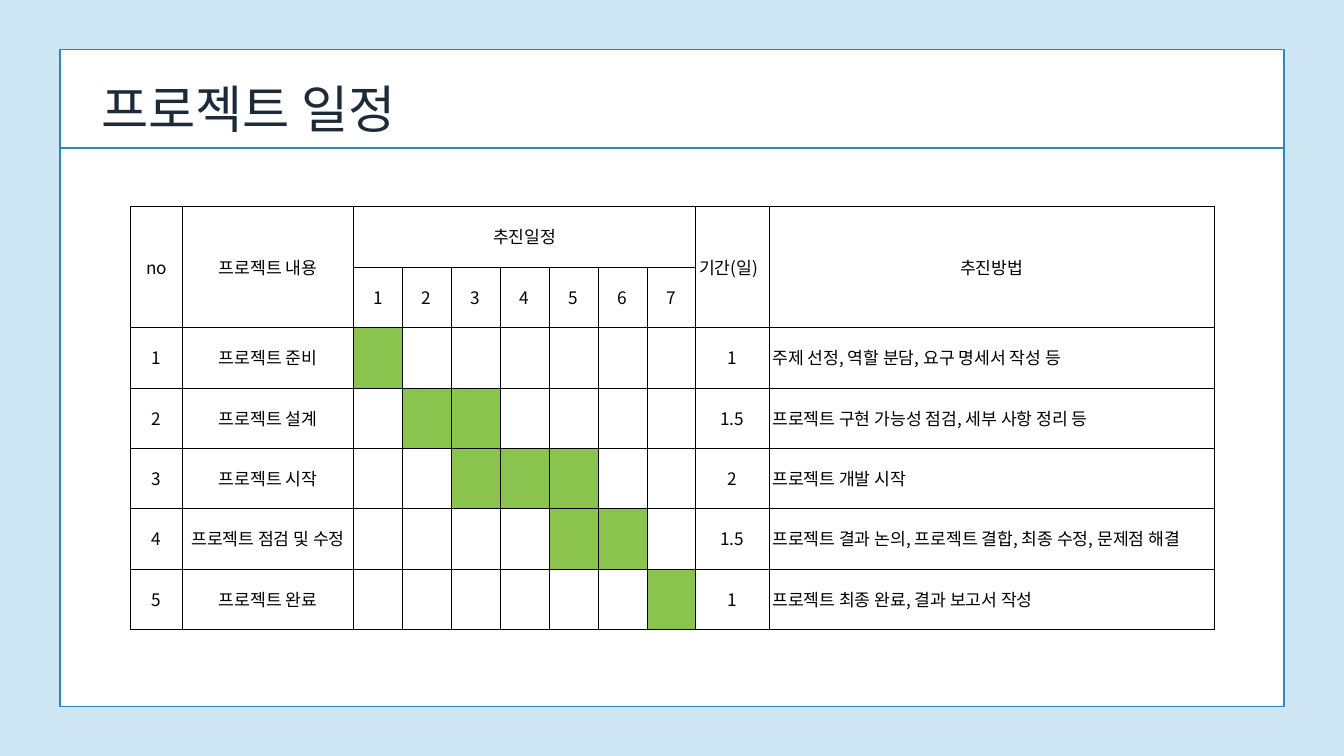
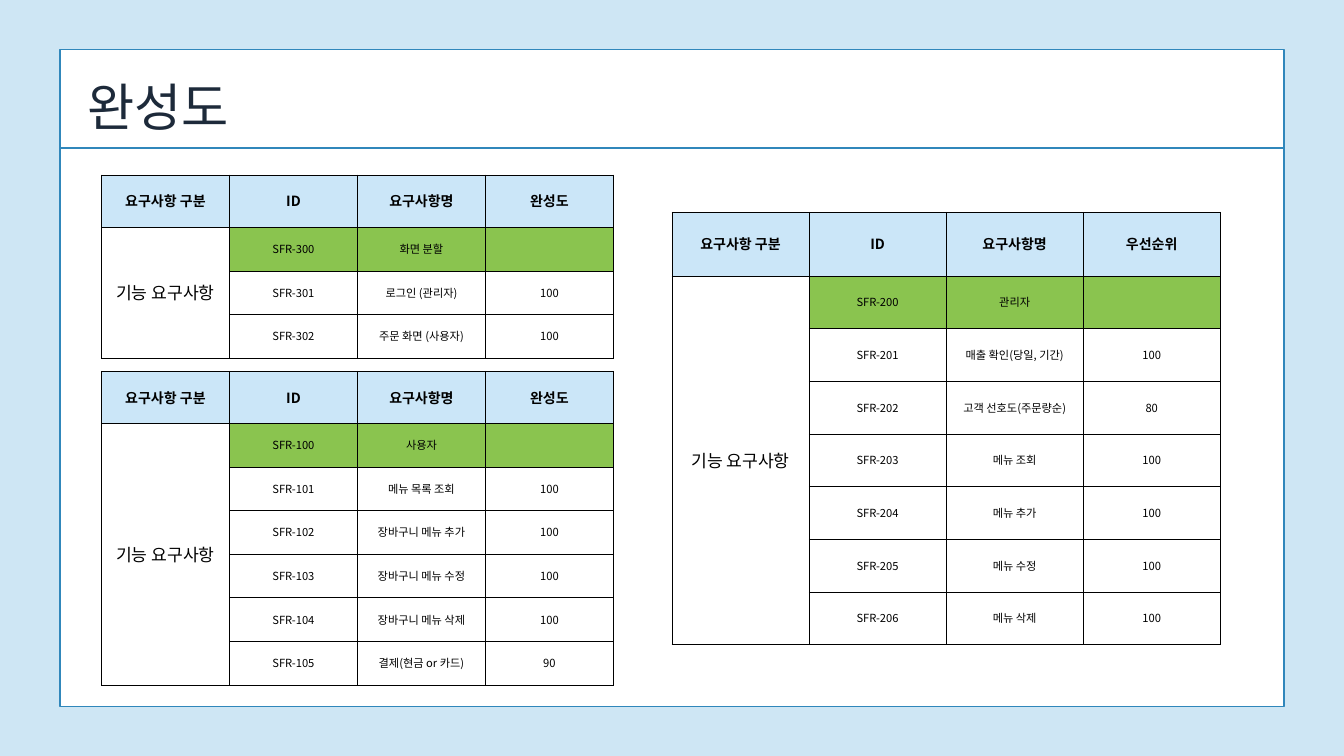
from dataclasses import dataclass

from lxml import etree
from pptx import Presentation
from pptx.dml.color import RGBColor
from pptx.enum.shapes import MSO_CONNECTOR, MSO_SHAPE
from pptx.enum.text import MSO_ANCHOR, PP_ALIGN
from pptx.oxml.ns import qn
from pptx.slide import Slide
from pptx.table import Table, _Cell
from pptx.text.text import _Paragraph
from pptx.util import Inches, Pt

WIDTH, HEIGHT = 20, 11.25
SKY = RGBColor(0xCE, 0xE6, 0xF4)
BLUE = RGBColor(0x30, 0x87, 0xBB)
PALE = RGBColor(0xCB, 0xE6, 0xF8)
GREEN = RGBColor(0x8A, 0xC4, 0x4F)
NAVY = RGBColor(0x1D, 0x2A, 0x3A)
WHITE = RGBColor(0xFF, 0xFF, 0xFF)
BLACK = RGBColor(0x00, 0x00, 0x00)
LEFT, CENTER = PP_ALIGN.LEFT, PP_ALIGN.CENTER
MIDDLE = MSO_ANCHOR.MIDDLE
RECT, STRAIGHT = MSO_SHAPE.RECTANGLE, MSO_CONNECTOR.STRAIGHT
SANS, TITLE, LATIN = "Noto Sans CJK SC", "Noto Sans CJK KR", "Roboto"
LEADING = 1.4
EDGE = 4.45
RULE = 19.56
DAYS = 7


@dataclass(frozen=True)
class Style:
    size: float
    face: str = SANS
    color: RGBColor = BLACK
    bold: bool = False
    align: PP_ALIGN = CENTER


@dataclass(frozen=True)
class Grid:
    left: float
    top: float
    cols: tuple[float, ...]
    rows: tuple[float, ...]
    pad: float


@dataclass(frozen=True)
class Step:
    name: str
    first: int
    last: int
    span: str
    plan: str


@dataclass(frozen=True)
class Need:
    name: str
    score: str


@dataclass(frozen=True)
class Group:
    left: float
    top: float
    wide: float
    head: float
    row: float
    score: str
    code: int
    needs: tuple[Need, ...]


BODY = Style(18.4)
NOTE = Style(18.4, align=LEFT)
SMALL = Style(12)
HEAD = Style(15, bold=True)
FIRST = Style(15, LATIN, bold=True)
BANNER = Style(55, TITLE, NAVY, align=LEFT)

PLAN = Grid(9.7, 27.33, (3.89, 12.7) + (3.64,) * DAYS + (5.45, 33.15), (7.99,) * 7, 0.05)
STEPS = (
    Step("프로젝트 준비", 1, 1, "1", "주제 선정, 역할 분담, 요구 명세서 작성 등"),
    Step("프로젝트 설계", 2, 3, "1.5", "프로젝트 구현 가능성 점검, 세부 사항 정리 등"),
    Step("프로젝트 시작", 3, 5, "2", "프로젝트 개발 시작"),
    Step("프로젝트 점검 및 수정", 5, 6, "1.5",
         "프로젝트 결과 논의, 프로젝트 결합, 최종 수정, 문제점 해결"),
    Step("프로젝트 완료", 7, 7, "1", "프로젝트 최종 완료, 결과 보고서 작성"),
)
GROUPS = (
    Group(7.55, 23.15, 38.1, 6.9, 5.78, "완성도", 300, (
        Need("화면 분할", ""),
        Need("로그인 (관리자)", "100"),
        Need("주문 화면 (사용자)", "100"),
    )),
    Group(7.55, 49.1, 38.1, 6.9, 5.77, "완성도", 100, (
        Need("사용자", ""),
        Need("메뉴 목록 조회", "100"),
        Need("장바구니 메뉴 추가", "100"),
        Need("장바구니 메뉴 수정", "100"),
        Need("장바구니 메뉴 삭제", "100"),
        Need("결제(현금 or 카드)", "90"),
    )),
    Group(50, 28.05, 40.8, 8.44, 6.97, "우선순위", 200, (
        Need("관리자", ""),
        Need("매출 확인(당일, 기간)", "100"),
        Need("고객 선호도(주문량순)", "80"),
        Need("메뉴 조회", "100"),
        Need("메뉴 추가", "100"),
        Need("메뉴 수정", "100"),
        Need("메뉴 삭제", "100"),
    )),
)


def across(share: float) -> int:
    return Inches(WIDTH * share / 100)


def down(share: float) -> int:
    return Inches(HEIGHT * share / 100)


def write(para: _Paragraph, text: str, style: Style) -> None:
    para.text = text
    para.alignment = style.align
    para.line_spacing = Pt(style.size * LEADING)
    font = para.font
    font.name = style.face
    font.size = Pt(style.size)
    font.bold = style.bold
    font.color.rgb = style.color
    base = para._p.pPr.find(qn("a:defRPr"))
    east = SANS if style.face == LATIN else style.face
    etree.SubElement(base, qn("a:ea"), typeface=east)


def border(cell: _Cell) -> None:
    props = cell._tc.get_or_add_tcPr()
    for spot, side in enumerate(("lnL", "lnR", "lnT", "lnB")):
        line = etree.Element(qn(f"a:{side}"), w=str(Pt(0.75)))
        fill = etree.SubElement(line, qn("a:solidFill"))
        etree.SubElement(fill, qn("a:srgbClr"), val=str(BLACK))
        props.insert(spot, line)


def paint(cell: _Cell, color: RGBColor) -> None:
    cell.fill.solid()
    cell.fill.fore_color.rgb = color


def label(cell: _Cell, text: str, style: Style) -> None:
    if text:
        write(cell.text_frame.paragraphs[0], text, style)


def lay(slide: Slide, grid: Grid) -> Table:
    frame = slide.shapes.add_table(
        len(grid.rows), len(grid.cols), across(grid.left), down(grid.top),
        across(sum(grid.cols)), down(sum(grid.rows)))
    table = frame.table
    table.first_row = table.horz_banding = False
    for col, share in zip(table.columns, grid.cols):
        col.width = across(share)
    for row, share in zip(table.rows, grid.rows):
        row.height = down(share)
    pad = Inches(grid.pad)
    for cell in table.iter_cells():
        cell.margin_left = cell.margin_right = pad
        cell.margin_top = cell.margin_bottom = pad
        cell.vertical_anchor = MIDDLE
        cell.fill.background()
        border(cell)
    return table


def begin(deck: Presentation, title: str, left: float, top: float, wide: float) -> Slide:
    slide = deck.slides.add_slide(deck.slide_layouts[6])
    slide.background.fill.solid()
    slide.background.fill.fore_color.rgb = SKY
    panel = slide.shapes.add_shape(
        RECT, across(EDGE), down(6.58), across(100 - 2 * EDGE), down(86.84))
    panel.shadow.inherit = False
    panel.fill.solid()
    panel.fill.fore_color.rgb = WHITE
    rule = slide.shapes.add_connector(
        STRAIGHT, across(EDGE), down(RULE), across(100 - EDGE), down(RULE))
    etree.SubElement(rule._element.spPr, qn("a:effectLst"))
    for line in (panel.line, rule.line):
        line.color.rgb = BLUE
        line.width = Pt(1.5)
    box = slide.shapes.add_textbox(across(left), down(top), across(wide), down(9.16))
    frame = box.text_frame
    frame.word_wrap = True
    frame.margin_left = frame.margin_right = 0
    frame.margin_top = frame.margin_bottom = 0
    write(frame.paragraphs[0], title, BANNER)
    return slide


def chart(slide: Slide) -> None:
    table = lay(slide, PLAN)
    span, plan = DAYS + 2, DAYS + 3
    heads = ((0, "no", BODY), (1, "프로젝트 내용", BODY),
             (span, "기간(일)", NOTE), (plan, "추진방법", BODY))
    for col, text, style in heads:
        table.cell(0, col).merge(table.cell(1, col))
        label(table.cell(0, col), text, style)
    table.cell(0, 2).merge(table.cell(0, DAYS + 1))
    label(table.cell(0, 2), "추진일정", BODY)
    for day in range(1, DAYS + 1):
        label(table.cell(1, day + 1), str(day), BODY)
    for num, step in enumerate(STEPS, 1):
        row = num + 1
        label(table.cell(row, 0), str(num), BODY)
        label(table.cell(row, 1), step.name, BODY)
        label(table.cell(row, span), step.span, BODY)
        label(table.cell(row, plan), step.plan, NOTE)
        for day in range(step.first, step.last + 1):
            paint(table.cell(row, day + 1), GREEN)


def rate(slide: Slide, group: Group) -> None:
    count = len(group.needs)
    table = lay(slide, Grid(group.left, group.top, (group.wide / 4,) * 4,
                            (group.head,) + (group.row,) * count, 0.06))
    for col, text in enumerate(("요구사항 구분", "ID", "요구사항명", group.score)):
        label(table.cell(0, col), text, HEAD if col else FIRST)
        paint(table.cell(0, col), PALE)
    table.cell(1, 0).merge(table.cell(count, 0))
    label(table.cell(1, 0), "기능 요구사항", BODY)
    for row, need in enumerate(group.needs, 1):
        code = f"SFR-{group.code + row - 1}"
        for col, text in enumerate((code, need.name, need.score), 1):
            label(table.cell(row, col), text, SMALL)
            if row == 1:
                paint(table.cell(row, col), GREEN)


def main() -> None:
    deck = Presentation()
    deck.slide_width, deck.slide_height = Inches(WIDTH), Inches(HEIGHT)
    chart(begin(deck, "프로젝트 일정", 7.55, 8.89, 22.8))
    done = begin(deck, "완성도", 6.5, 8.62, 17.1)
    for group in GROUPS:
        rate(done, group)
    deck.save("out.pptx")


if __name__ == "__main__":
    main()
